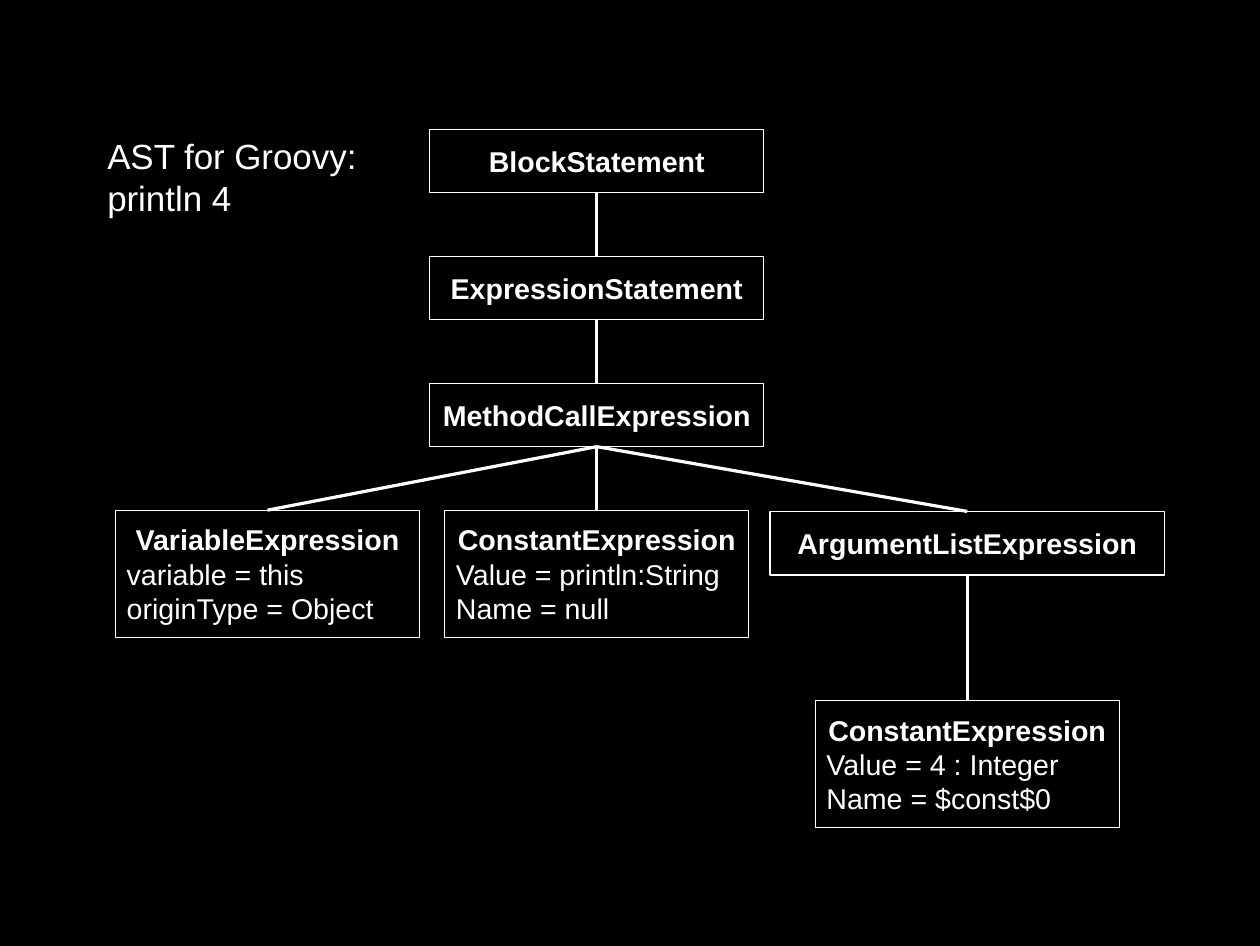
from pptx import Presentation, util as u
from pptx.dml.color import RGBColor
from pptx.enum import shapes, text
from pptx.oxml.ns import qn
from lxml import etree

BLACK = RGBColor(0, 0, 0)
WHITE = RGBColor(255, 255, 255)
FONT = "Arial"
TOP, ROW = 1.13, 1.11
LEFT_X, MIDDLE_X, RIGHT_X = 2.34, 5.22, 8.46
STATEMENT_W, DETAIL_W, ARGUMENT_W = 2.92, 2.66, 3.45
SITE_TOP, SITE_BOTTOM = 0, 2

# key: (centre x, row, width, class name, properties, parent key)
NODES = {
    "block": (MIDDLE_X, 0, STATEMENT_W, "BlockStatement", [], None),
    "statement": (MIDDLE_X, 1, STATEMENT_W, "ExpressionStatement", [], "block"),
    "call": (MIDDLE_X, 2, STATEMENT_W, "MethodCallExpression", [], "statement"),
    "object": (LEFT_X, 3, DETAIL_W, "VariableExpression",
               ["variable = this", "originType = Object"], "call"),
    "method": (MIDDLE_X, 3, DETAIL_W, "ConstantExpression",
               ["Value = println:String", "Name = null"], "call"),
    "arguments": (RIGHT_X, 3.01, ARGUMENT_W, "ArgumentListExpression", [], "call"),
    "value": (RIGHT_X, 4.5, DETAIL_W, "ConstantExpression",
              ["Value = 4 : Integer", "Name = $const$0"], "arguments"),
}


def write_lines(frame, lines, size):
    frame.text = "\n".join(lines)
    for paragraph in frame.paragraphs:
        paragraph.alignment = text.PP_ALIGN.LEFT
        paragraph.font.name = FONT
        paragraph.font.size = u.Pt(size)
        paragraph.font.color.rgb = WHITE


def add_caption(slide, left, top, width, height):
    caption = slide.shapes.add_textbox(*map(u.Inches, (left, top, width, height)))
    caption.text_frame.word_wrap = True
    write_lines(caption.text_frame, ["AST for Groovy:", "println 4"], 22)


def add_node(slide, centre, row, width, class_name, properties):
    height = ROW if properties else ROW / 2
    box = (centre - width / 2, TOP + row * ROW, width, height)
    node = slide.shapes.add_shape(shapes.MSO_SHAPE.FLOWCHART_PROCESS,
                                  *map(u.Inches, box))
    node.shadow.inherit = False
    node.fill.solid()
    node.fill.fore_color.rgb = BLACK
    node.line.color.rgb = WHITE
    node.line.width = u.Pt(0)
    frame = node.text_frame
    frame.word_wrap = True
    frame.vertical_anchor = text.MSO_ANCHOR.MIDDLE
    write_lines(frame, [class_name, *properties], 18)
    heading = frame.paragraphs[0]
    heading.alignment = text.PP_ALIGN.CENTER
    heading.font.bold = True
    return node


def add_branch(slide, parent, child):
    branch = slide.shapes.add_connector(shapes.MSO_CONNECTOR.STRAIGHT, 0, 0, 0, 0)
    branch.begin_connect(parent, SITE_BOTTOM)
    branch.end_connect(child, SITE_TOP)
    branch.line.color.rgb = WHITE
    branch.line.width = u.Pt(0)
    etree.SubElement(branch._element.spPr, qn("a:effectLst"))


def add_tree(slide):
    drawn = {}
    for key, (*layout, parent) in NODES.items():
        drawn[key] = add_node(slide, *layout)
        if parent:
            add_branch(slide, drawn[parent], drawn[key])


def main():
    deck = Presentation()
    deck.slide_width, deck.slide_height = u.Inches(11.02), u.Inches(8.27)
    slide = deck.slides.add_slide(deck.slide_layouts[6])
    slide.background.fill.solid()
    slide.background.fill.fore_color.rgb = BLACK
    add_tree(slide)
    add_caption(slide, 0.84, TOP, DETAIL_W, ROW)
    deck.save("out.pptx")


if __name__ == "__main__":
    main()
